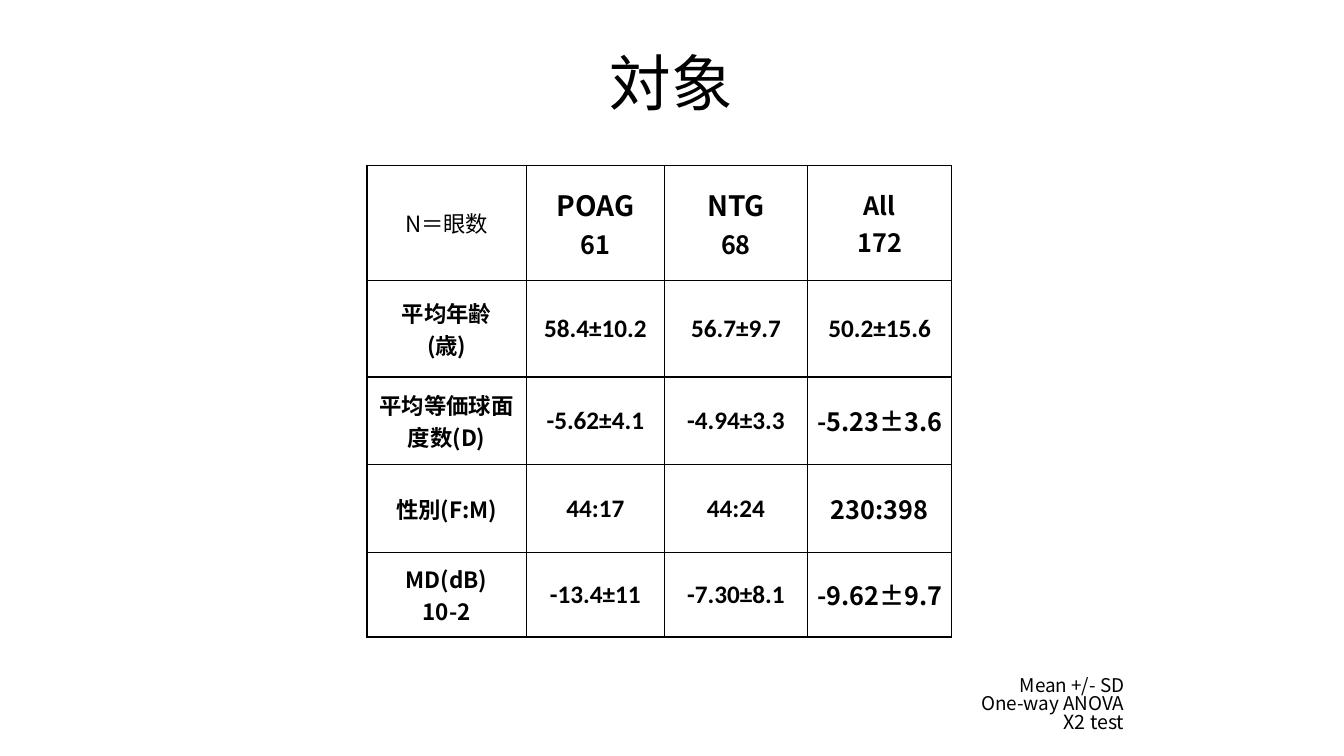
from dataclasses import dataclass

import pptx
import pptx.util
import pptx.dml.color
import pptx.enum.text
import pptx.oxml
import pptx.oxml.ns

PX = 9144  # EMU per px, 100 px to the inch
BLACK = pptx.dml.color.RGBColor(0x00, 0x00, 0x00)
CJK = "Noto Sans CJK JP"
LATIN = "Calibri"
ALIGN = pptx.enum.text.PP_ALIGN
ANCHOR = pptx.enum.text.MSO_ANCHOR

COLUMN_WIDTHS = (158, 137, 142, 143)
ROW_HEIGHTS = (114, 96, 87, 87, 84)
TABLE_LEFT, TABLE_TOP = 364, 164
NO_STYLE = "{2D5ABB26-0587-4C30-8999-92F81FD0307C}"


@dataclass
class Line:
    text: str
    size: float = 18
    font: str = CJK
    bold: bool = True


@dataclass
class TextBox:
    left: int
    top: int
    width: int
    height: int
    lines: list[Line]
    align: int
    anchor: int
    inset: int
    spacing: float


def label(*texts: str) -> list[Line]:
    return [Line(text, 16) for text in texts]


def value(text: str, font: str = LATIN) -> list[Line]:
    return [Line(text, font=font)]


ROWS = [
    [[Line("N＝眼数", 16, bold=False)],
     [Line("POAG", 20), Line("61")],
     [Line("NTG", 20), Line("68")],
     [Line("All"), Line("172")]],
    [label("平均年齢\v(歳)"), value("58.4±10.2"), value("56.7±9.7"), value("50.2±15.6")],
    [label("平均等価球面度数(D)"), value("-5.62±4.1"), value("-4.94±3.3"), value("-5.23±3.6", CJK)],
    [label("性別(F:M)"), value("44:17"), value("44:24"), value("230:398", CJK)],
    [label("MD(dB)", "10-2"), value("-13.4±11"), value("-7.30±8.1"), value("-9.62±9.7", CJK)],
]

TITLE = TextBox(235, 40, 862, 91, [Line("対象", 44, bold=False)],
                ALIGN.CENTER, ANCHOR.MIDDLE, 5, 0.9)
STATISTICS_NOTE = TextBox(847, 665, 275, 43,
                          [Line("Mean +/- SD", 13.5, bold=False),
                           Line("One-way ANOVA", 13.5, bold=False),
                           Line("X2 test", 14, bold=False)],
                          ALIGN.RIGHT, ANCHOR.TOP, 7, 0.82)


def write_lines(tf, lines: list[Line], align: int, spacing: float = 1.0) -> None:
    for i, line in enumerate(lines):
        p = tf.add_paragraph() if i else tf.paragraphs[0]
        p.alignment = align
        p.line_spacing = spacing
        for j, part in enumerate(line.text.split("\v")):
            if j:
                p.add_line_break()
            r = p.add_run()
            r.text = part
            r.font.size = pptx.util.Pt(line.size)
            r.font.bold = line.bold
            r.font.name = line.font
            r.font.color.rgb = BLACK
            ea = pptx.oxml.parse_xml(
                f'<a:ea {pptx.oxml.ns.nsdecls("a")} typeface="{CJK}"/>')
            r.font._element.find(pptx.oxml.ns.qn("a:latin")).addnext(ea)


def set_insets(target, inset: int) -> None:
    target.margin_left = target.margin_right = inset * PX
    target.margin_top = target.margin_bottom = inset * PX


def add_text_box(slide, box: TextBox) -> None:
    sp = slide.shapes.add_textbox(box.left * PX, box.top * PX,
                                  box.width * PX, box.height * PX)
    tf = sp.text_frame
    tf.word_wrap = True
    tf.vertical_anchor = box.anchor
    set_insets(tf, box.inset)
    write_lines(tf, box.lines, box.align, box.spacing)


def add_borders(cell) -> None:
    """Draw a thin black line on all four sides of the cell."""
    tc_pr = cell._tc.get_or_add_tcPr()
    for i, side in enumerate(("lnL", "lnR", "lnT", "lnB")):
        tc_pr.insert(i, pptx.oxml.parse_xml(
            f'<a:{side} {pptx.oxml.ns.nsdecls("a")} w="{pptx.util.Pt(1)}">'
            f'<a:solidFill><a:srgbClr val="{BLACK}"/></a:solidFill></a:{side}>'))


def add_patient_table(slide) -> None:
    frame = slide.shapes.add_table(
        len(ROW_HEIGHTS), len(COLUMN_WIDTHS), TABLE_LEFT * PX, TABLE_TOP * PX,
        sum(COLUMN_WIDTHS) * PX, sum(ROW_HEIGHTS) * PX)
    table = frame.table
    table.first_row = table.horz_banding = False
    table._tbl.tblPr.find(pptx.oxml.ns.qn("a:tableStyleId")).text = NO_STYLE
    for column, width in zip(table.columns, COLUMN_WIDTHS):
        column.width = width * PX
    for row, height, contents in zip(table.rows, ROW_HEIGHTS, ROWS):
        row.height = height * PX
        for cell, lines in zip(row.cells, contents):
            cell.fill.background()
            cell.vertical_anchor = ANCHOR.MIDDLE
            set_insets(cell, 6)
            write_lines(cell.text_frame, lines, ALIGN.CENTER)
            add_borders(cell)


def main() -> None:
    prs = pptx.Presentation()
    prs.slide_width, prs.slide_height = 1333 * PX, 750 * PX
    slide = prs.slides.add_slide(prs.slide_layouts[6])
    add_patient_table(slide)
    add_text_box(slide, STATISTICS_NOTE)
    add_text_box(slide, TITLE)
    prs.save("out.pptx")


if __name__ == "__main__":
    main()
